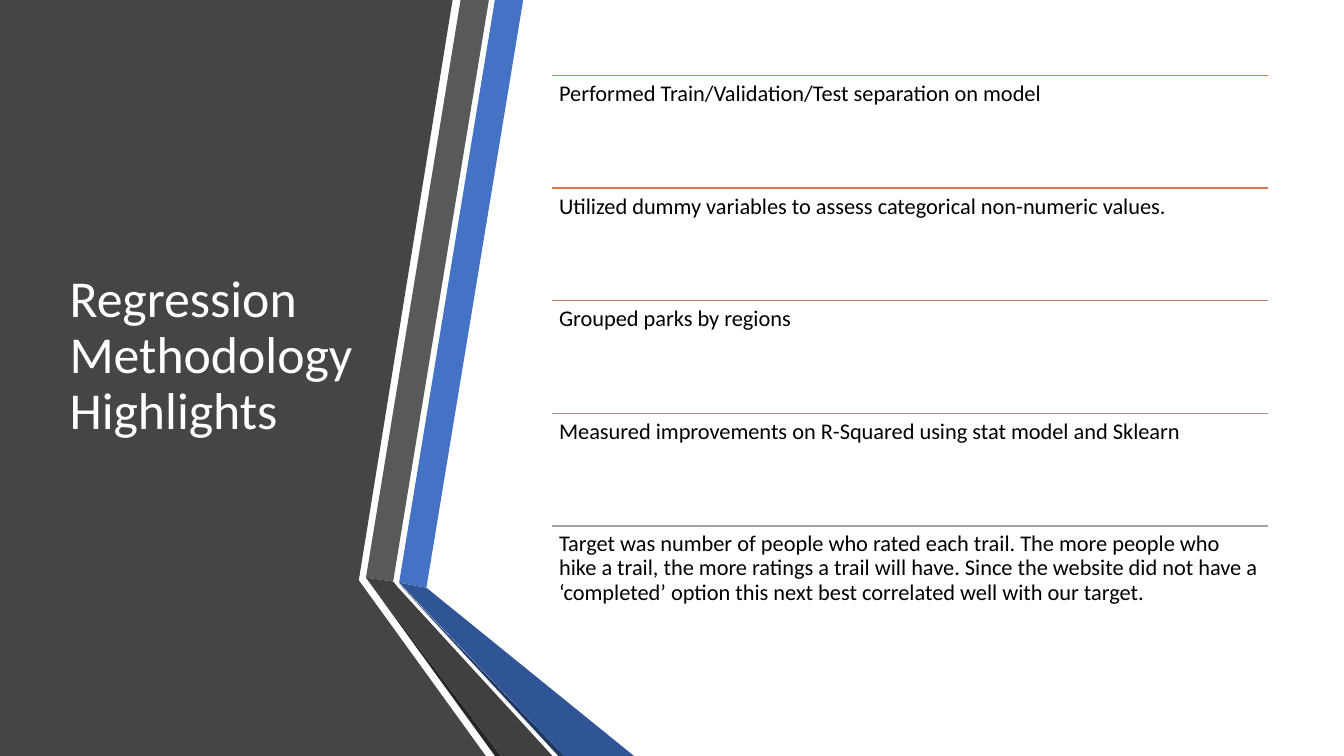
from lxml import etree
from pptx import Presentation
from pptx.dml.color import RGBColor
from pptx.enum import shapes, text
from pptx.oxml import ns
from pptx.util import Pt

COLORS = {
    "panel": "454545",
    "blue": "4472C4",
    "gray": "595959",
    "gray_edge": "262626",
    "blue_edge": "203864",
    "blue_fold": "2F5597",
    "gray_fold": "404040",
    "title": "FFFFFF",
    "body": "000000",
}

BANDS = [
    ("panel", [(0, 0), (323.3, 0), (256.3, 414.5), (347, 540), (0, 540)]),
    ("blue", [(285.1, 416.2), (304.6, 419.8), (373.7, 0), (353.5, 0)]),
    ("gray", [(349.2, 0), (329, 0), (261.4, 412.6), (280.8, 415.4)]),
    ("gray_edge", [(261.4, 412.6), (353.5, 540), (357.8, 540)]),
    ("blue_edge", [(285.1, 416.9), (398.9, 540), (403.2, 540)]),
    ("blue_fold", [(285.1, 416.2), (403.2, 540), (452.9, 540), (304.6, 419.8)]),
    ("gray_fold", [(394.6, 540), (284.4, 419.8), (280.8, 415.4), (261.4, 412.6), (357.8, 540)]),
]

HIGHLIGHTS = [
    ("ED7D31", "Performed Train/Validation/Test separation on model"),
    ("D87A51", "Utilized dummy variables to assess categorical non-numeric values."),
    ("C48170", "Grouped parks by regions"),
    ("B4908B", "Measured improvements on R-Squared using stat model and Sklearn"),
    ("A5A5A5", "Target was number of people who rated each trail. The more people who hike a trail, "
               "the more ratings a trail will have. Since the website did not have a ‘completed’ "
               "option this next best correlated well with our target."),
]
LIST_LEFT, LIST_TOP, LIST_WIDTH, ROW_HEIGHT = 394.6, 54, 511.2, 80.4


def place(shape, left, top, width, height):
    shape.left, shape.top = Pt(left), Pt(top)
    shape.width, shape.height = Pt(width), Pt(height)


def write(shape, words, size, color):
    frame = shape.text_frame
    frame.word_wrap = True
    frame.auto_size = text.MSO_AUTO_SIZE.NONE
    paragraph = frame.paragraphs[0]
    paragraph.text = words
    paragraph.alignment = text.PP_ALIGN.LEFT
    paragraph.line_spacing = 0.9
    paragraph.font.name = "Calibri"
    paragraph.font.size = Pt(size)
    paragraph.font.color.rgb = RGBColor.from_string(color)
    return frame


presentation = Presentation()
presentation.slide_width = Pt(960)
presentation.slide_height = Pt(540)
slide = presentation.slides.add_slide(presentation.slide_layouts[5])

for color, points in BANDS:
    corners = [(Pt(x), Pt(y)) for x, y in points]
    builder = slide.shapes.build_freeform(*corners[0])
    builder.add_line_segments(corners[1:], close=True)
    band = builder.convert_to_shape()
    band.shadow.inherit = False
    band.fill.solid()
    band.fill.fore_color.rgb = RGBColor.from_string(COLORS[color])
    band.line.fill.background()

title = slide.shapes.title
place(title, 42.5, 54, 218.9, 401.8)
title_frame = write(title, "Regression Methodology Highlights", 37, COLORS["title"])
title_frame.vertical_anchor = text.MSO_ANCHOR.MIDDLE
slide.shapes.element.append(title.element)

for row, (color, words) in enumerate(HIGHLIGHTS):
    top = LIST_TOP + row * ROW_HEIGHT
    rule = slide.shapes.add_connector(
        shapes.MSO_CONNECTOR.STRAIGHT,
        Pt(LIST_LEFT), Pt(top), Pt(LIST_LEFT + LIST_WIDTH), Pt(top))
    rule.line.color.rgb = RGBColor.from_string(color)
    rule.line.width = Pt(1)
    etree.SubElement(rule.element.spPr, ns.qn("a:effectLst"))

    box = slide.shapes.add_textbox(Pt(LIST_LEFT), Pt(top), Pt(LIST_WIDTH), Pt(ROW_HEIGHT))
    frame = write(box, words, 16, COLORS["body"])
    frame.margin_left = frame.margin_right = Pt(4.8)
    frame.margin_top = frame.margin_bottom = Pt(4.8)

presentation.save("out.pptx")
